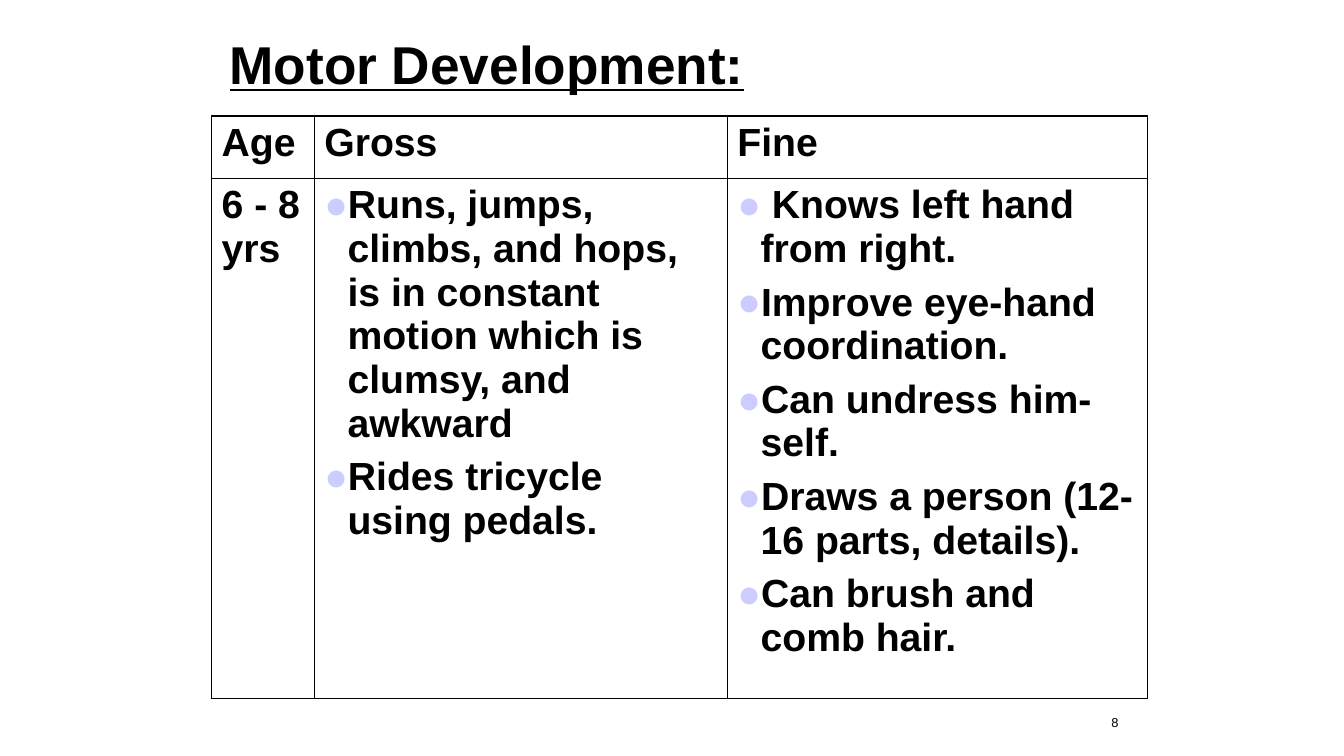
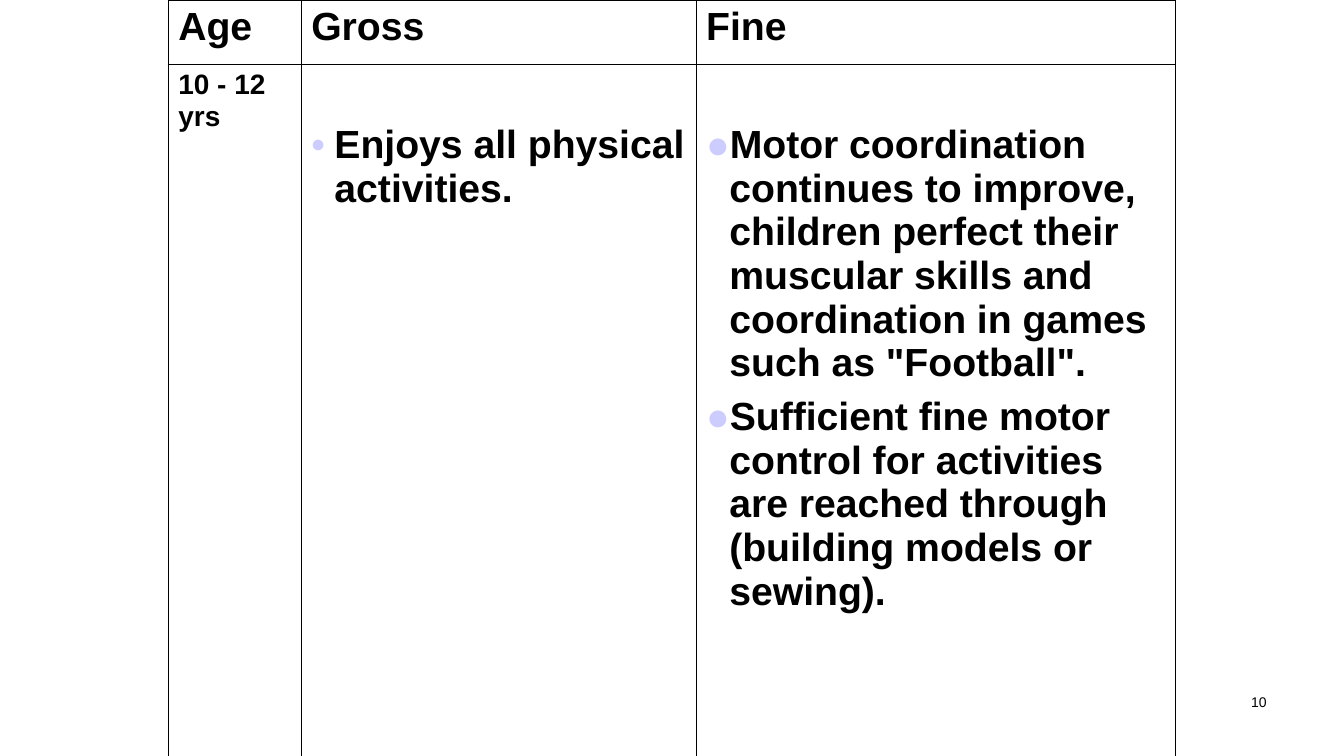
from lxml.etree import SubElement
from pptx import Presentation
from pptx.dml.color import RGBColor
from pptx.enum.text import MSO_ANCHOR as Anchor, PP_ALIGN as Align
from pptx.oxml.ns import qn
from pptx.util import Pt

PX = 9144  # 100 px to the inch
BLACK = RGBColor(0x00, 0x00, 0x00)
LILAC = RGBColor(0xCC, 0xCC, 0xFF)
OUTER, INNER = Pt(1.08), Pt(0.45)
INDENT = 23
PAD_X, PAD_Y = 10, 5
BODY = {"name": "Arial", "size": Pt(28), "bold": True}
SMALL_AGE = BODY | {"size": Pt(20)}
TITLE = BODY | {"size": Pt(38), "underline": True}
HEADINGS = ["Age", "Gross", "Fine"]

# Each slide: its title, page number and table
SLIDES = [
    {
        "title": "Motor Development:",
        "number": "8", "number_at": (887, 706, 233, 26),
        "number_size": Pt(9.2), "number_spacing": 0.9,
        "table_at": (210, 115), "columns": [102, 410, 417], "rows": [62, 516],
        "age": "6 - 8 yrs", "age_font": BODY, "drop": 0,
        "skills": [
            ("●", ["Runs, jumps, climbs, and hops, is in constant motion "
                   "which is clumsy, and awkward",
                   "Rides tricycle using pedals."]),
            ("●", [" Knows left hand from right.",
                   "Improve eye-hand coordination.",
                   "Can undress him-self.",
                   "Draws a person (12-16 parts, details).",
                   "Can brush and comb hair."]),
        ],
    },
    {
        "title": None,
        "number": "10", "number_at": (956, 683, 311, 50),
        "number_size": Pt(10), "number_spacing": 1.0,
        "table_at": (167, 0), "columns": [132, 392, 476], "rows": [64, 699],
        "age": "10 - 12 yrs", "age_font": SMALL_AGE, "drop": 53,
        "skills": [
            ("•", ["Enjoys all physical activities."]),
            ("●", ["Motor coordination continues to improve, children perfect "
                   "their muscular skills and coordination in games such as "
                   "\"Football\".",
                   "Sufficient fine motor control for activities are reached "
                   "through (building models or sewing)."]),
        ],
    },
]


def write(frame, lines, font, bullet=None):
    """Fill a text frame with one paragraph per line."""
    frame.word_wrap = True
    for index, line in enumerate(lines):
        para = frame.add_paragraph() if index else frame.paragraphs[0]
        para.space_before = Pt(7 if index else 0)
        if bullet:
            props = para._p.get_or_add_pPr()
            props.set("marL", str(INDENT * PX))
            props.set("indent", str(-INDENT * PX))
            colour = SubElement(props, qn("a:buClr"))
            SubElement(colour, qn("a:srgbClr"), val=str(LILAC))
            SubElement(props, qn("a:buFont"), typeface="Arial")
            SubElement(props, qn("a:buChar"), char=bullet)
        span = para.add_run()
        span.text = line
        for name, value in font.items():
            setattr(span.font, name, value)
        span.font.color.rgb = BLACK


def add_text(page, at, text, font):
    """Add a one-paragraph text box and return its frame."""
    box = page.shapes.add_textbox(*(length * PX for length in at))
    write(box.text_frame, [text], font)
    return box.text_frame


deck = Presentation()
deck.slide_width, deck.slide_height = 1334 * PX, 750 * PX

for content in SLIDES:
    page = deck.slides.add_slide(deck.slide_layouts[6])

    # Page number
    frame = add_text(page, content["number_at"], content["number"],
                     {"name": "Arial", "size": content["number_size"]})
    frame.paragraphs[0].alignment = Align.RIGHT
    frame.paragraphs[0].line_spacing = content["number_spacing"]

    # Title
    if content["title"]:
        frame = add_text(page, (218, 0, 900, 125), content["title"], TITLE)
        frame.vertical_anchor = Anchor.MIDDLE

    # Table grid
    columns, rows = content["columns"], content["rows"]
    left, top = content["table_at"]
    table = page.shapes.add_table(
        len(rows), len(columns), left * PX, top * PX,
        sum(columns) * PX, sum(rows) * PX).table
    table.first_row = table.horz_banding = False
    for column, width in zip(table.columns, columns):
        column.width = width * PX
    for row, height in zip(table.rows, rows):
        row.height = height * PX

    # Table text
    for column, heading in enumerate(HEADINGS):
        write(table.cell(0, column).text_frame, [heading], BODY)
    write(table.cell(1, 0).text_frame, [content["age"]], content["age_font"])
    for column, (bullet, lines) in enumerate(content["skills"], start=1):
        write(table.cell(1, column).text_frame, lines, BODY, bullet)

    # Cell margins, borders and fill
    for r in range(len(rows)):
        for c in range(len(columns)):
            cell = table.cell(r, c)
            cell.margin_left = cell.margin_right = PAD_X * PX
            cell.margin_top = cell.margin_bottom = PAD_Y * PX
            if r and c:
                cell.margin_top = (PAD_Y + content["drop"]) * PX
            props = cell._tc.get_or_add_tcPr()
            edges = {"L": c == 0, "R": c == len(columns) - 1,
                     "T": r == 0, "B": r == len(rows) - 1}
            for side, is_outer in edges.items():
                line = SubElement(props, qn(f"a:ln{side}"),
                                  w=str(OUTER if is_outer else INNER))
                fill = SubElement(line, qn("a:solidFill"))
                SubElement(fill, qn("a:srgbClr"), val=str(BLACK))
            cell.fill.background()

deck.save("out.pptx")
